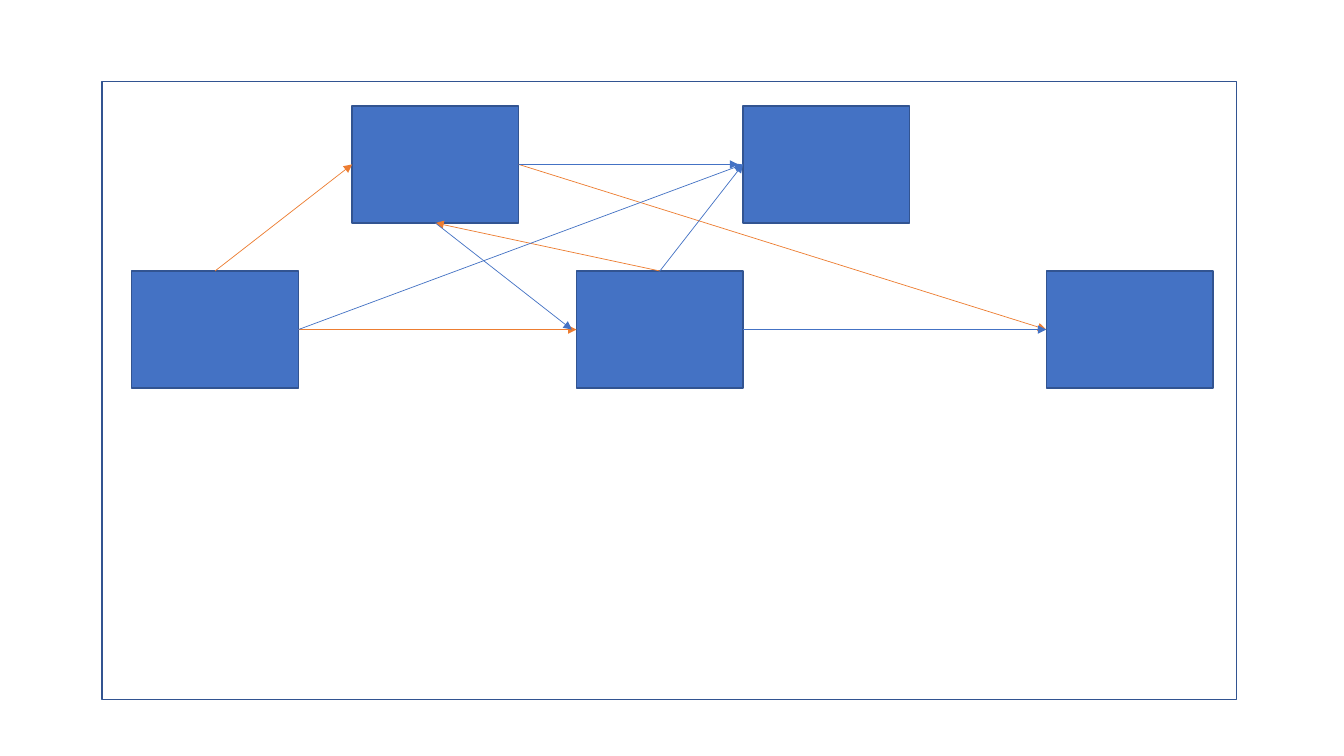
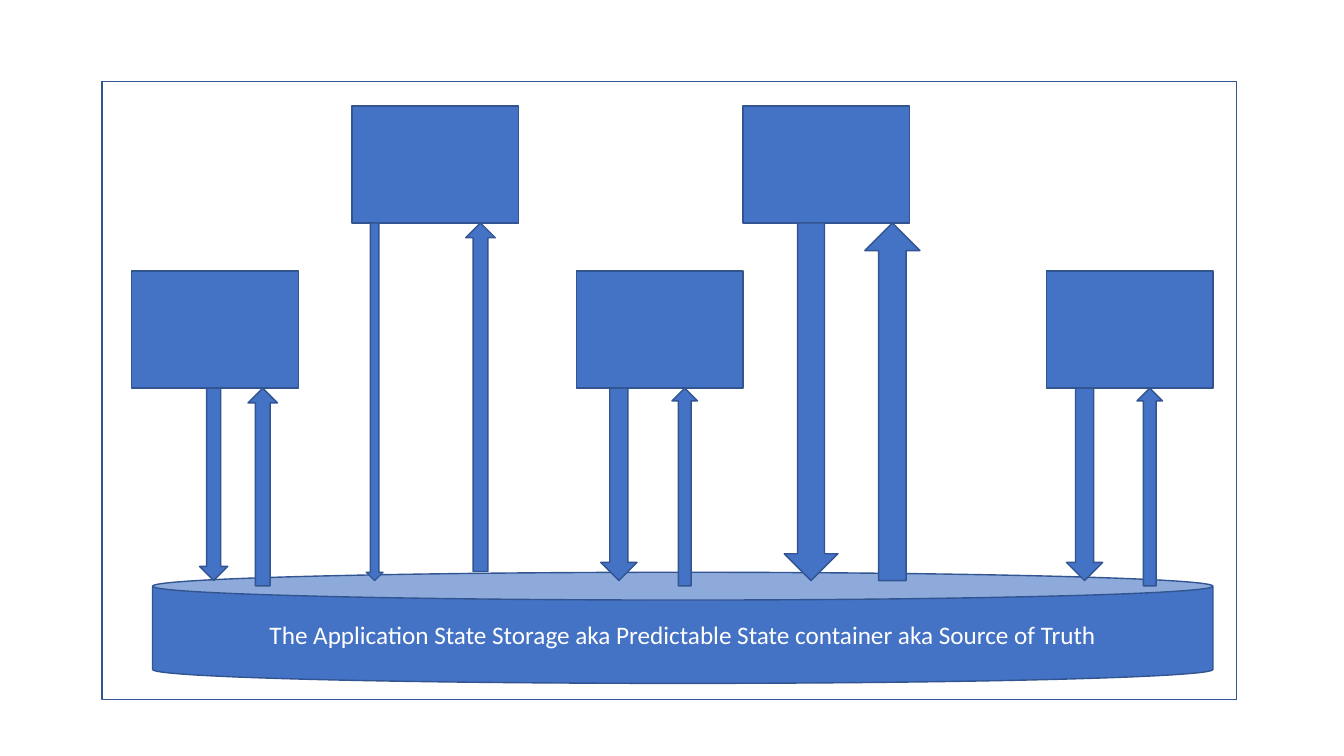
from lxml import etree
from pptx import Presentation
from pptx.dml.color import RGBColor
from pptx.enum.shapes import MSO_CONNECTOR, MSO_SHAPE
from pptx.enum.text import MSO_ANCHOR, PP_ALIGN
from pptx.oxml.ns import qn
from pptx.util import Inches, Pt

COLORS = {"blue": "4472C4", "edge": "325491", "orange": "ED7D31", "white": "FFFFFF"}

prs = Presentation()
prs.slide_width, prs.slide_height = Inches(40 / 3), Inches(7.5)

# Grid: 100 columns by 100 rows
COL, ROW = prs.slide_width / 100, prs.slide_height / 100
BOX_WIDTH, BOX_HEIGHT = 12.4, 15.5
UPPER, LOWER = 14, 35.85
COMPONENTS = [(9.8, LOWER), (26.2, UPPER), (42.9, LOWER), (55.28, UPPER), (77.85, LOWER)]


def add_block(slide, kind, left, top, width, height, fill="blue"):
    block = slide.shapes.add_shape(
        kind, round(left * COL), round(top * ROW), round(width * COL), round(height * ROW))
    block.shadow.inherit = False
    block.fill.solid()
    block.fill.fore_color.rgb = RGBColor.from_string(COLORS[fill])
    block.line.color.rgb = RGBColor.from_string(COLORS["edge"])
    block.line.width = Pt(1)
    return block


def add_link(slide, start, start_side, end, end_side, color, gap=0):
    """Arrow between two boxes; a gap in columns stops it short of the second."""
    link = slide.shapes.add_connector(MSO_CONNECTOR.STRAIGHT, 0, 0, 0, 0)
    link.begin_connect(start, start_side)
    if gap:
        link.end_x = end.left - round(gap * COL)
        link.end_y = end.top + end.height // 2
    else:
        link.end_connect(end, end_side)
    link.line.color.rgb = RGBColor.from_string(COLORS[color])
    link.line.width = Pt(0.5)
    etree.SubElement(link.line._get_or_add_ln(), qn("a:tailEnd"), type="triangle")
    etree.SubElement(link._element.spPr, qn("a:effectLst"))


# Both slides: frame and the five components
slides, boxes = [], []
for _ in range(2):
    slide = prs.slides.add_slide(prs.slide_layouts[6])
    add_block(slide, MSO_SHAPE.RECTANGLE, 7.58, 10.8, 84.45, 81.73, "white")
    slides.append(slide)
    boxes.append([add_block(slide, MSO_SHAPE.RECTANGLE, left, top, BOX_WIDTH, BOX_HEIGHT)
                  for left, top in COMPONENTS])
tangled, central = slides

# Slide 1: components linked directly to each other
TOP_SIDE, LEFT_SIDE, BOTTOM_SIDE, RIGHT_SIDE = range(4)
first, second, third, fourth, fifth = boxes[0]
for link in [
    (first, TOP_SIDE, second, LEFT_SIDE, "orange"),
    (first, RIGHT_SIDE, third, LEFT_SIDE, "orange"),
    (second, RIGHT_SIDE, fifth, LEFT_SIDE, "orange"),
    (third, TOP_SIDE, second, BOTTOM_SIDE, "orange"),
    (third, TOP_SIDE, fourth, LEFT_SIDE, "blue"),
    (third, RIGHT_SIDE, fifth, LEFT_SIDE, "blue"),
    (first, RIGHT_SIDE, fourth, LEFT_SIDE, "blue"),
    (second, BOTTOM_SIDE, third, LEFT_SIDE, "blue", 0.35),
    (second, RIGHT_SIDE, fourth, LEFT_SIDE, "blue", 0.35),
]:
    add_link(tangled, *link)

# Slide 2: shared state store
store = add_block(central, MSO_SHAPE.CAN, 11.35, 75.7, 78.9, 14.7)
store.text_frame.text = "The Application State Storage aka Predictable State container aka Source of Truth"
store.text_frame.word_wrap = True
store.text_frame.vertical_anchor = MSO_ANCHOR.MIDDLE
caption = store.text_frame.paragraphs[0]
caption.alignment = PP_ALIGN.CENTER
caption.runs[0].font.name = "Calibri"
caption.runs[0].font.size = Pt(18)
caption.runs[0].font.color.rgb = RGBColor.from_string(COLORS["white"])

# Slide 2: per component, (left, width, bottom) of its write and read arrows
FLOWS = [
    ((14.85, 2.1, 76.8), (18.45, 2.2, 77.5)),
    ((27.25, 1.25, 76.8), (34.65, 2.2, 75.6)),
    ((44.7, 2.7, 76.8), (50, 1.9, 77.5)),
    ((58.35, 4, 76.8), (64.35, 4.1, 76.8)),
    ((79.35, 2.7, 76.8), (84.6, 1.9, 77.5)),
]
for (_, box_top), flow in zip(COMPONENTS, FLOWS):
    start = box_top + BOX_HEIGHT
    for kind, (left, width, bottom) in zip((MSO_SHAPE.DOWN_ARROW, MSO_SHAPE.UP_ARROW), flow):
        add_block(central, kind, left, start, width, bottom - start)

prs.save("out.pptx")
